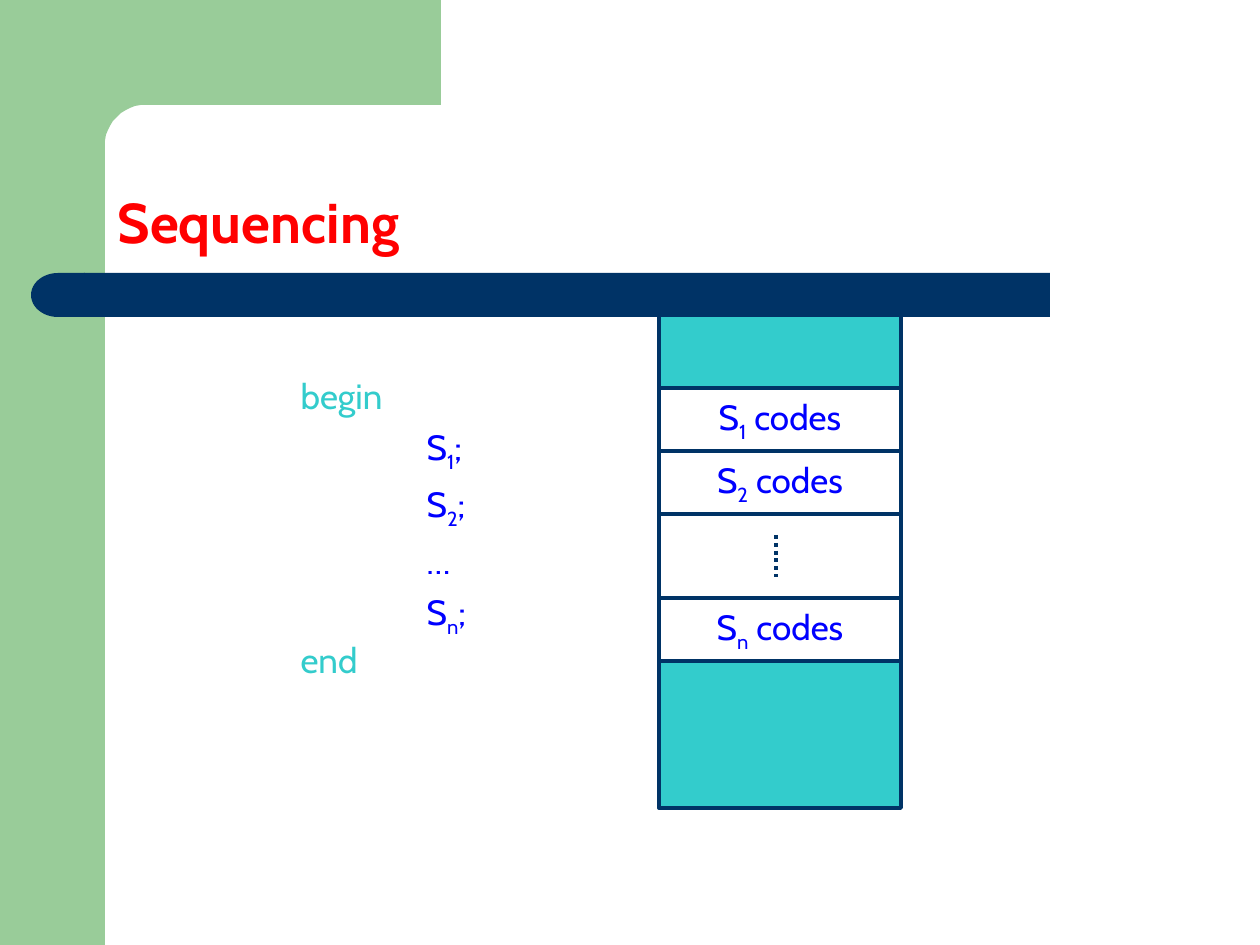
from math import cos, pi, sin

from lxml.etree import SubElement
from pptx import Presentation
from pptx.dml.color import RGBColor
from pptx.enum.dml import MSO_LINE
from pptx.enum.shapes import MSO_CONNECTOR, MSO_SHAPE
from pptx.enum.text import MSO_ANCHOR, MSO_AUTO_SIZE, PP_ALIGN
from pptx.oxml.ns import qn
from pptx.util import Emu, Pt

PX = 914400 / 126
GREEN = RGBColor(0x99, 0xCC, 0x99)
NAVY = RGBColor(0x00, 0x33, 0x66)
TEAL = RGBColor(0x33, 0xCC, 0xCC)
BLUE = RGBColor(0x00, 0x00, 0xFF)
RED = RGBColor(0xFF, 0x00, 0x00)
FONT = "Cabin"
TEXT_FORMAT = {"name": FONT, "size": Pt(20), "bold": False}
TITLE_FORMAT = {"name": FONT, "size": Pt(32), "bold": True}

# Code listing: text parts (base, subscript, rest), left indent, line spacing, colour
CODE_LINES = [
    (("begin",), 172, 1.0, TEAL),
    (("S", "1", ";"), 298, 1.2, BLUE),
    (("S", "2", ";"), 298, 1.2, BLUE),
    (("…",), 298, 1.2, BLUE),
    (("S", "n", ";"), 298, 1.2, BLUE),
    (("end",), 172, 1.0, TEAL),
]

# Memory column from top to bottom: height, fill, text parts
MEMORY_LEFT, MEMORY_TOP, MEMORY_WIDTH = 659, 315, 242
MEMORY_CELLS = [
    (73, TEAL, ()),
    (63, None, ("S", "1", " codes")),
    (63, None, ("S", "2", " codes")),
    (84, None, ()),
    (63, None, ("S", "n", " codes")),
    (147, TEAL, ()),
]


def px(value):
    return Emu(round(value * PX))


def set_attributes(target, values):
    for name, value in values.items():
        setattr(target, name, value)


def place(shape, left, top, width, height):
    set_attributes(shape, {"left": px(left), "top": px(top),
                           "width": px(width), "height": px(height)})


def paint(shape, fill=None, line=None):
    shape.shadow.inherit = False
    if fill is None:
        shape.fill.background()
    else:
        shape.fill.solid()
        shape.fill.fore_color.rgb = fill
    if line is None:
        shape.line.fill.background()
    else:
        shape.line.color.rgb = line
        shape.line.width = Pt(2.25)


def add_block(slide, kind, box, fill=None, line=None):
    shape = slide.shapes.add_shape(kind, *map(px, box))
    paint(shape, fill, line)
    return shape


def write_parts(paragraph, parts, color, font_format=TEXT_FORMAT):
    """Write the parts as runs; the second part is a subscript."""
    for index, part in enumerate(parts):
        run = paragraph.add_run()
        run.text = part
        set_attributes(run.font, font_format)
        run.font.color.rgb = color
        if index == 1:
            run.font._element.set("baseline", "-25000")


def add_corner(slide):
    """Green top band with a rounded inner corner."""
    radius, edge = 41, 105
    center = edge + radius
    arc = [(center - radius * sin(step * pi / 24), center - radius * cos(step * pi / 24))
           for step in range(13)]
    points = [(441, 0), (441, edge), *arc, (edge, 161), (63, 161)]
    builder = slide.shapes.build_freeform(63, 0, scale=PX)
    builder.add_line_segments(points, close=True)
    paint(builder.convert_to_shape(), GREEN)


def add_decoration(slide):
    add_block(slide, MSO_SHAPE.RECTANGLE, (0, 0, 105, 945), GREEN)
    add_corner(slide)
    add_block(slide, MSO_SHAPE.RECTANGLE, (84, 273, 966, 44), NAVY)
    cap = add_block(slide, MSO_SHAPE.FLOWCHART_DELAY, (31, 273, 54, 44), NAVY)
    cap.rotation = 180


def fill_title(title):
    place(title, 105, 105, 1092, 157)
    set_attributes(title.text_frame, {"vertical_anchor": MSO_ANCHOR.BOTTOM,
                                      "auto_size": MSO_AUTO_SIZE.NONE})
    paragraph = title.text_frame.paragraphs[0]
    set_attributes(paragraph, {"alignment": PP_ALIGN.LEFT, "line_spacing": 0.9})
    write_parts(paragraph, ("Sequencing",), RED, TITLE_FORMAT)


def fill_code(body):
    place(body, 116, 325, 1060, 513)
    frame = body.text_frame
    set_attributes(frame, {"auto_size": MSO_AUTO_SIZE.NONE, "margin_top": px(49),
                           "vertical_anchor": MSO_ANCHOR.TOP})
    for index, (parts, indent, spacing, color) in enumerate(CODE_LINES):
        paragraph = frame.add_paragraph() if index else frame.paragraphs[0]
        set_attributes(paragraph, {"line_spacing": spacing, "space_before": Pt(0),
                                   "alignment": PP_ALIGN.LEFT})
        properties = paragraph._p.get_or_add_pPr()
        properties.set("marL", str(px(indent)))
        properties.set("indent", "0")
        SubElement(properties, qn("a:buNone"))
        write_parts(paragraph, parts, color)


def add_memory(slide):
    top = MEMORY_TOP
    for height, fill, parts in MEMORY_CELLS:
        cell = add_block(slide, MSO_SHAPE.RECTANGLE,
                         (MEMORY_LEFT, top, MEMORY_WIDTH, height), fill, NAVY)
        if parts:
            set_attributes(cell.text_frame, {"word_wrap": False,
                                             "vertical_anchor": MSO_ANCHOR.MIDDLE})
            paragraph = cell.text_frame.paragraphs[0]
            paragraph.alignment = PP_ALIGN.CENTER
            write_parts(paragraph, parts, BLUE)
        top += height


def add_dotted_line(slide, x, top, bottom):
    line = slide.shapes.add_connector(MSO_CONNECTOR.STRAIGHT, *map(px, (x, top, x, bottom)))
    line.line.color.rgb = NAVY
    set_attributes(line.line, {"width": Pt(2.25), "dash_style": MSO_LINE.ROUND_DOT})
    SubElement(line._element.spPr, qn("a:effectLst"))


def main():
    presentation = Presentation()
    set_attributes(presentation, {"slide_width": px(1260), "slide_height": px(945)})
    slide = presentation.slides.add_slide(presentation.slide_layouts[1])

    # Background bands and rule
    add_decoration(slide)

    # Title and code listing
    fill_title(slide.shapes.title)
    fill_code(slide.placeholders[1])

    # Memory column with the ellipsis in its open cell
    add_memory(slide)
    add_dotted_line(slide, 776, 535, 577)

    presentation.save("out.pptx")


if __name__ == "__main__":
    main()
